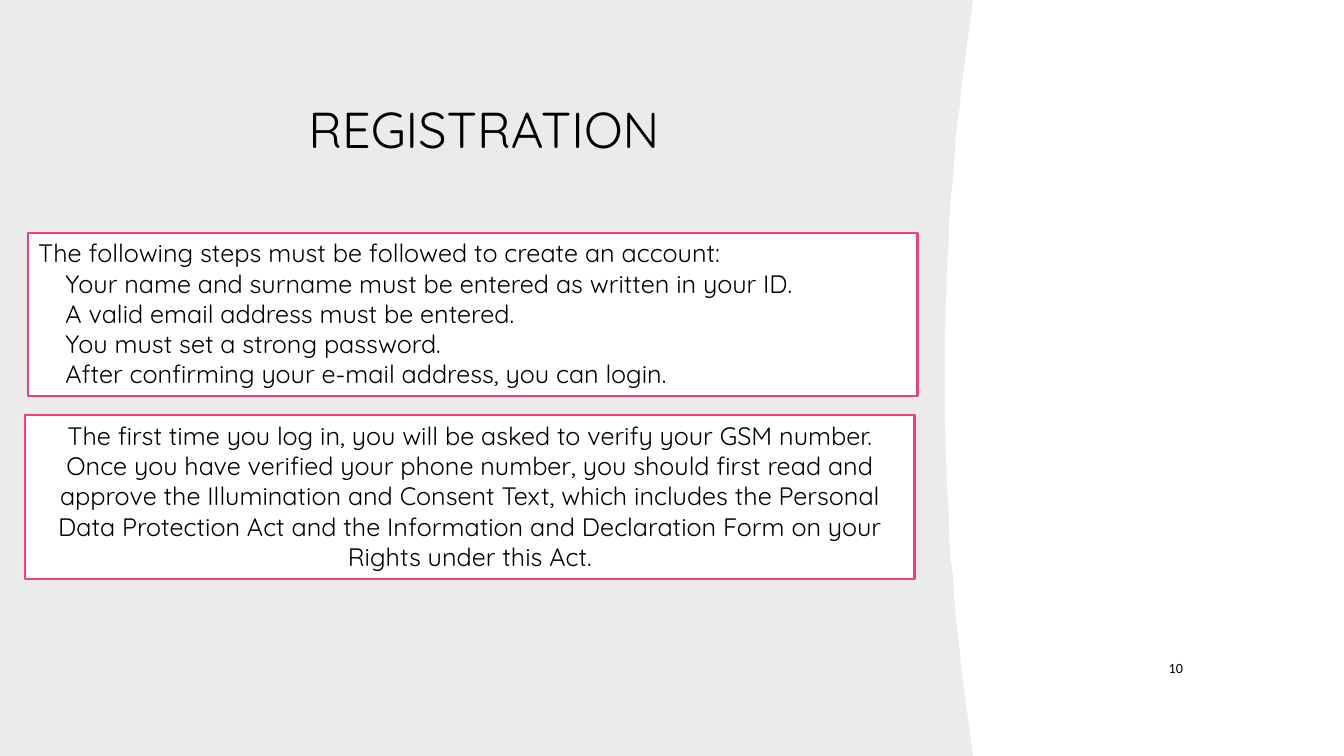
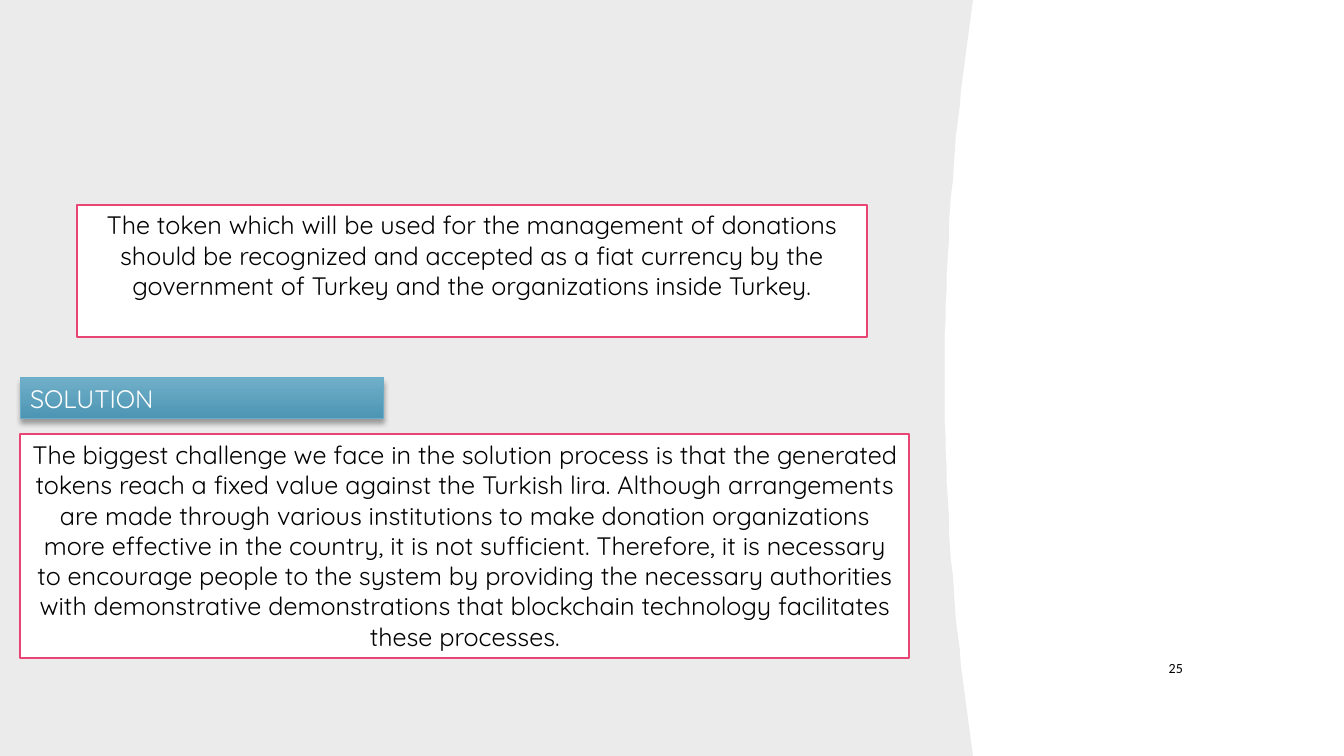
from dataclasses import dataclass

from lxml.etree import SubElement
from pptx import Presentation
from pptx.dml.color import RGBColor
from pptx.enum.shapes import MSO_SHAPE
from pptx.enum.text import MSO_ANCHOR, PP_ALIGN
from pptx.oxml.ns import qn
from pptx.util import Pt

SCALE = 9144
SLIDE_WIDTH, SLIDE_HEIGHT = 1333, 750


@dataclass(frozen=True)
class Theme:
    font: str = "Quicksand"
    number_font: str = "Calibri"
    ink: str = "000000"
    paper: str = "FFFFFF"
    panel: str = "EBEBEB"
    frame: str = "E84574"
    banner_top: str = "70AFC9"
    banner_bottom: str = "4C95B3"
    banner_line: str = "6AADC8"
    title_size: int = 36
    body_size: int = 18
    number_size: int = 10


THEME = Theme()


def px(*lengths):
    return [length * SCALE for length in lengths]


def color(value):
    return RGBColor.from_string(value)


def write_text(shape, lines, *, size=THEME.body_size, ink=THEME.ink, font=THEME.font,
               align=PP_ALIGN.LEFT, anchor=MSO_ANCHOR.TOP, indents=()):
    frame = shape.text_frame
    frame.word_wrap = True
    frame.vertical_anchor = anchor
    frame.text = "\n".join(lines)
    for paragraph in frame.paragraphs:
        paragraph.alignment = align
        paragraph.font.size = Pt(size)
        paragraph.font.name = font
        paragraph.font.color.rgb = color(ink)
    for paragraph, indent in zip(frame.paragraphs, indents):
        paragraph._p.get_or_add_pPr().set("marL", str(indent * SCALE))


class Deck:
    """Holds the theme and the current slide, and draws each kind of element."""

    def __init__(self, theme):
        self.theme = theme
        self.presentation = Presentation()
        self.presentation.slide_width, self.presentation.slide_height = px(SLIDE_WIDTH, SLIDE_HEIGHT)
        self.slide = None

    def add_slide(self):
        self.slide = self.presentation.slides.add_slide(self.presentation.slide_layouts[6])
        background = self.slide.background.fill
        background.solid()
        background.fore_color.rgb = color(self.theme.paper)
        self.curved_panel()

    def curved_panel(self, edge=937, bulge=28):
        middle = SLIDE_HEIGHT / 2
        curve = [(edge + bulge * ((y - middle) / middle) ** 2, y)
                 for y in range(0, SLIDE_HEIGHT + 1, 15)]
        builder = self.slide.shapes.build_freeform(0, 0, scale=SCALE)
        builder.add_line_segments(curve + [(0, SLIDE_HEIGHT)], close=True)
        panel = builder.convert_to_shape()
        panel.shadow.inherit = False
        panel.fill.solid()
        panel.fill.fore_color.rgb = color(self.theme.panel)
        panel.line.fill.background()

    def rectangle(self, bounds, line, width):
        shape = self.slide.shapes.add_shape(MSO_SHAPE.RECTANGLE, *px(*bounds))
        shape.shadow.inherit = False
        shape.line.color.rgb = color(line)
        shape.line.width = Pt(width)
        return shape

    def framed_text(self, bounds, lines, align=PP_ALIGN.CENTER, indents=()):
        shape = self.rectangle(bounds, self.theme.frame, 1.5)
        shape.fill.solid()
        shape.fill.fore_color.rgb = color(self.theme.paper)
        write_text(shape, lines, align=align, indents=indents)

    def banner(self, bounds, text):
        shape = self.rectangle(bounds, self.theme.banner_line, 0.75)
        shape.fill.gradient()
        shape.fill.gradient_angle = 270
        stops = (self.theme.banner_top, self.theme.banner_bottom)
        for position, (stop, value) in enumerate(zip(shape.fill.gradient_stops, stops)):
            stop.position = position
            stop.color.rgb = color(value)
        effects = shape._element.spPr.find(qn("a:effectLst"))
        shadow = SubElement(effects, qn("a:outerShdw"), blurRad=str(Pt(4)), dist=str(Pt(3)),
                            dir="5400000", rotWithShape="0")
        shade = SubElement(shadow, qn("a:srgbClr"), val=self.theme.ink)
        SubElement(shade, qn("a:alpha"), val="35000")
        write_text(shape, [text], ink=self.theme.paper)

    def title(self, text):
        box = self.slide.shapes.add_textbox(*px(75, 62, 810, 130))
        write_text(box, [text], size=self.theme.title_size, align=PP_ALIGN.CENTER,
                   anchor=MSO_ANCHOR.MIDDLE)

    def page_number(self, number):
        box = self.slide.shapes.add_textbox(*px(1123, 642, 60, 41))
        write_text(box, [str(number)], size=self.theme.number_size, font=self.theme.number_font,
                   align=PP_ALIGN.RIGHT, anchor=MSO_ANCHOR.MIDDLE)


def registration_slide(deck):
    deck.add_slide()
    deck.title("REGISTRATION")
    steps = [
        "Your name and surname must be entered as written in your ID.",
        "A valid email address must be entered.",
        "You must set a strong password.",
        "After confirming your e-mail address, you can login.",
    ]
    deck.framed_text(
        (28, 231, 882, 162),
        ["The following steps must be followed to create an account:"] + steps,
        align=PP_ALIGN.LEFT, indents=[0] + [27] * len(steps))
    deck.framed_text((25, 412, 882, 162), [
        "The first time you log in, you will be asked to verify your GSM number.",
        "Once you have verified your phone number, you should first read and approve the "
        "Illumination and Consent Text, which includes the Personal Data Protection Act and "
        "the Information and Declaration Form on your Rights under this Act.",
    ])
    deck.page_number(10)


def solution_slide(deck):
    deck.add_slide()
    deck.framed_text((76, 203, 784, 131), [
        "The token which will be used for the management of donations should be recognized "
        "and accepted as a fiat currency by the government of Turkey and the organizations "
        "inside Turkey.",
    ])
    deck.banner((20, 375, 360, 40), "SOLUTION")
    deck.framed_text((20, 431, 882, 222), [
        "The biggest challenge we face in the solution process is that the generated tokens "
        "reach a fixed value against the Turkish lira. Although arrangements are made through "
        "various institutions to make donation organizations more effective in the country, it "
        "is not sufficient. Therefore, it is necessary to encourage people to the system by "
        "providing the necessary authorities with demonstrative demonstrations that blockchain "
        "technology facilitates these processes.",
    ])
    deck.page_number(25)


def main():
    deck = Deck(THEME)
    registration_slide(deck)
    solution_slide(deck)
    deck.presentation.save("out.pptx")


if __name__ == "__main__":
    main()
